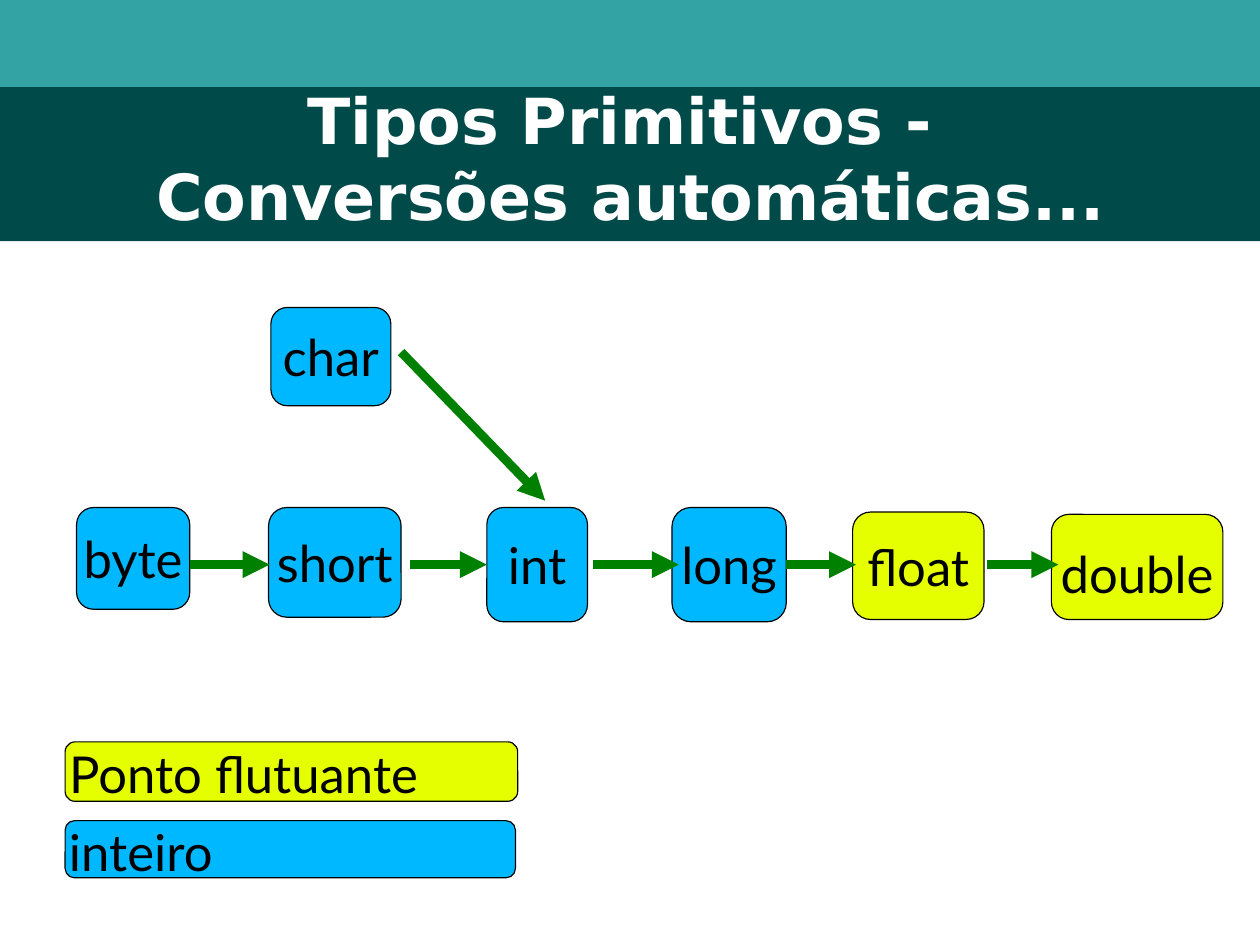
from lxml import etree
from pptx import Presentation
from pptx.dml.color import RGBColor
from pptx.enum.shapes import MSO_CONNECTOR, MSO_SHAPE
from pptx.enum.text import MSO_ANCHOR, PP_ALIGN
from pptx.oxml.ns import qn
from pptx.util import Emu, Pt

RECT, ROUNDED = MSO_SHAPE.RECTANGLE, MSO_SHAPE.ROUNDED_RECTANGLE
STRAIGHT = MSO_CONNECTOR.STRAIGHT
LEFT, CENTER, MIDDLE = PP_ALIGN.LEFT, PP_ALIGN.CENTER, MSO_ANCHOR.MIDDLE
LEFT_SIDE, RIGHT_SIDE = 1, 3

EMU_PER_PX = 9144
SLIDE_WIDTH, SLIDE_HEIGHT = Emu(10080625), Emu(7559675)
INTEGER, FLOATING = "00B8FF", "E6FF00"
BLACK, WHITE, ARROW_GREEN = "000000", "FFFFFF", "008000"

TITLE = "Tipos Primitivos - \vConversões automáticas..."
TITLE_BOX = (81, 62, 941, 151)
BANDS = [((0, 73, 1102, 138), "004A4A"), ((0, 0, 1102, 76), "33A3A3")]

# name, box, fill, top inset of the text
TYPES = [
    ("short", (235, 444, 116, 96), INTEGER, 0),
    ("byte", (67, 444, 99, 89), INTEGER, 0),
    ("int", (426, 444, 88, 100), INTEGER, 0),
    ("long", (588, 444, 100, 100), INTEGER, 0),
    ("char", (237, 269, 105, 86), INTEGER, 0),
    ("float", (746, 448, 115, 94), FLOATING, 0),
    ("double", (920, 450, 150, 92), FLOATING, 11),
]
LEGEND = [
    ("Ponto flutuante", (57, 649, 396, 52), FLOATING, 3),
    ("inteiro", (57, 718, 394, 50), INTEGER, 4),
]
FLOW_Y = 494
# start, end, type joined at the start, type joined at the end
CONVERSIONS = [
    ((166, FLOW_Y), (236, FLOW_Y), None, None),
    ((359, FLOW_Y), (426, FLOW_Y), None, "int"),
    ((519, FLOW_Y), (594, FLOW_Y), None, None),
    ((351, 308), (477, 438), None, None),
    ((688, FLOW_Y), (749, FLOW_Y), "long", None),
    ((864, FLOW_Y), (926, FLOW_Y), None, None),
]


def px(lengths):
    return [Emu(length * EMU_PER_PX) for length in lengths]


def color(hex_code):
    return RGBColor.from_string(hex_code)


def add_box(slide, preset, box, fill, outline=None):
    shape = slide.shapes.add_shape(preset, *px(box))
    shape.shadow.inherit = False
    shape.fill.solid()
    shape.fill.fore_color.rgb = color(fill)
    if outline:
        shape.line.color.rgb = color(outline)
        shape.line.width = Pt(0)
    else:
        shape.line.fill.background()
    return shape


def write(shape, text, font="Lato", size=32, ink=BLACK, bold=False,
          align=CENTER, wrap=False, insets=(0, 0)):
    """Put text in a shape; insets are left and top."""
    frame = shape.text_frame
    frame.margin_left, frame.margin_top = px(insets)
    frame.margin_right = frame.margin_bottom = 0
    frame.vertical_anchor = MIDDLE
    frame.word_wrap = wrap
    frame.text = text
    paragraph = frame.paragraphs[0]
    paragraph.alignment = align
    for run in paragraph.runs:
        run.font.name = font
        run.font.size = Pt(size)
        run.font.bold = bold
        run.font.color.rgb = color(ink)


def add_arrow(slide, start, end):
    arrow = slide.shapes.add_connector(STRAIGHT, *px(start + end))
    arrow.line.color.rgb = color(ARROW_GREEN)
    arrow.line.width = Pt(5.67)
    outline = arrow._element.spPr.find(qn("a:ln"))
    etree.SubElement(outline, qn("a:tailEnd"), type="triangle")
    etree.SubElement(arrow._element.spPr, qn("a:effectLst"))
    return arrow


def main():
    deck = Presentation()
    deck.slide_width, deck.slide_height = SLIDE_WIDTH, SLIDE_HEIGHT
    slide = deck.slides.add_slide(deck.slide_layouts[6])

    for box, fill in BANDS:
        add_box(slide, RECT, box, fill).width = SLIDE_WIDTH

    type_boxes = {}
    for name, box, fill, top in TYPES:
        type_boxes[name] = add_box(slide, ROUNDED, box, fill, BLACK)
        write(type_boxes[name], name, insets=(0, top))

    for label, box, fill, top in LEGEND:
        write(add_box(slide, ROUNDED, box, fill, BLACK), label,
              align=LEFT, wrap=True, insets=(1, top))

    for start, end, source, target in CONVERSIONS:
        arrow = add_arrow(slide, start, end)
        if source:
            arrow.begin_connect(type_boxes[source], RIGHT_SIDE)
        if target:
            arrow.end_connect(type_boxes[target], LEFT_SIDE)

    write(slide.shapes.add_textbox(*px(TITLE_BOX)), TITLE, font="DejaVu Sans",
          size=40, ink=WHITE, bold=True, wrap=True)
    deck.save("out.pptx")


if __name__ == "__main__":
    main()
